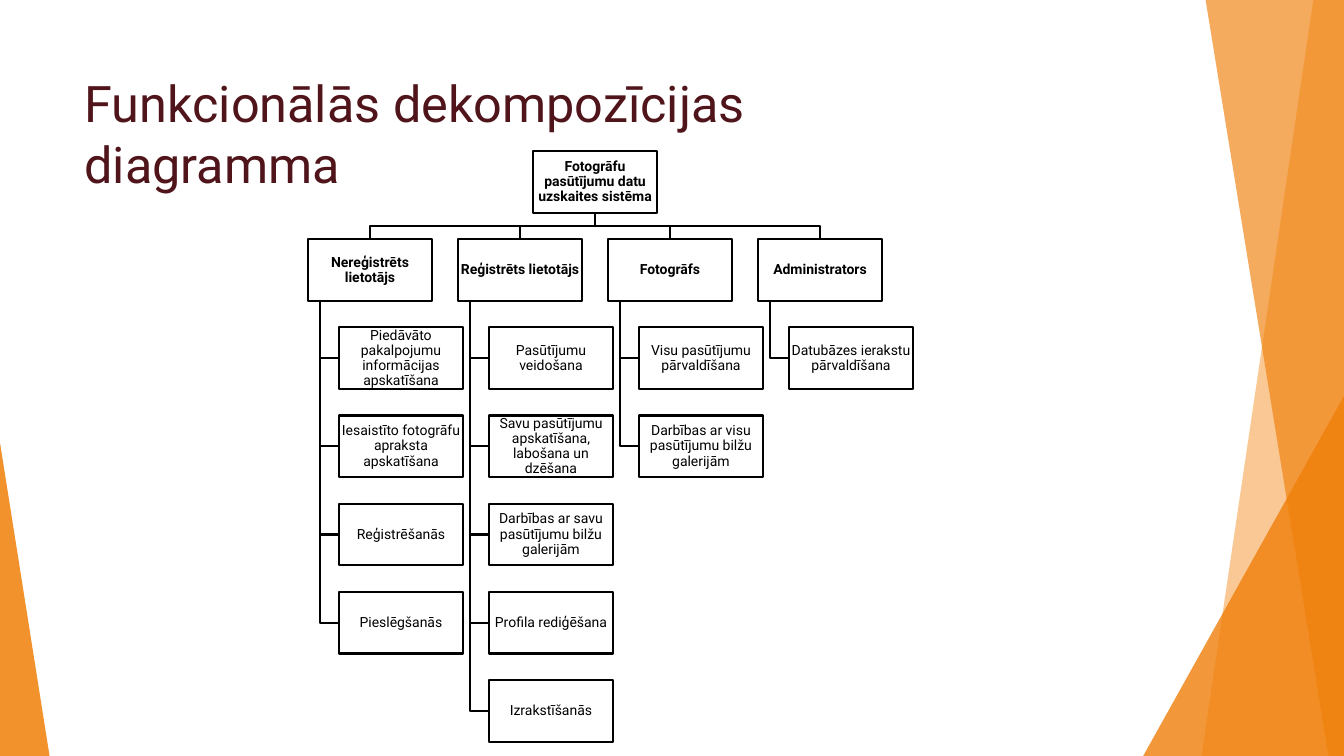
import lxml.etree
import pptx
import pptx.dml.color
import pptx.enum.shapes
import pptx.enum.text
import pptx.oxml.ns
import pptx.util

Cm = pptx.util.Cm
Pt = pptx.util.Pt
RGB = pptx.dml.color.RGBColor.from_string

TITLE = "Funkcionālās dekompozīcijas diagramma"
SYSTEM = "Fotogrāfu pasūtījumu datu uzskaites sistēma"
ROLES = [
    ("Nereģistrēts lietotājs", [
        "Piedāvāto pakalpojumu informācijas apskatīšana",
        "Iesaistīto fotogrāfu apraksta apskatīšana",
        "Reģistrēšanās",
        "Pieslēgšanās",
    ]),
    ("Reģistrēts lietotājs", [
        "Pasūtījumu veidošana",
        "Savu pasūtījumu apskatīšana, labošana un dzēšana",
        "Darbības ar savu pasūtījumu bilžu galerijām",
        "Profila rediģēšana",
        "Izrakstīšanās",
    ]),
    ("Fotogrāfs", [
        "Visu pasūtījumu pārvaldīšana",
        "Darbības ar visu pasūtījumu bilžu galerijām",
    ]),
    ("Administrators", ["Datubāzes ierakstu pārvaldīšana"]),
]

THEME = {
    "font": "Roboto",
    "title": "50141B",
    "text": "000000",
    "box": "FFFFFF",
    "line": "000000",
    "orange": "F07F09",
    "peach": "F9B268",
    "title_size": 36,
    "box_size": 10,
    "line_width": 1.5,
}

PAGE_WIDTH, PAGE_HEIGHT = 33.87, 19.05
BOX_WIDTH, BOX_HEIGHT = 3.13, 1.56
LEFT, TOP = 7.76, 3.81
COLUMN_STEP, ROW_STEP = 3.78, 2.22
TRUNK_OFFSET, TASK_INDENT = 0.31, 0.78

BANDS = [
    ([(33.1, -0.02), (PAGE_WIDTH, -0.02), (PAGE_WIDTH, PAGE_HEIGHT), (30.28, PAGE_HEIGHT)], "peach", 70),
    ([(30.38, -0.02), (PAGE_WIDTH, -0.02), (PAGE_WIDTH, PAGE_HEIGHT), (33.48, PAGE_HEIGHT)], "orange", 65),
]
CORNERS = [
    ((28.81, 9.98, 5.06, 9.07), 1, 80),
    ((0, 11.15, 1.25, 7.9), 0, 85),
]


def draw_outline(page, points, close):
    corners = [(Cm(x), Cm(y)) for x, y in points]
    builder = page.shapes.build_freeform(*corners[0])
    builder.add_line_segments(corners[1:], close=close)
    outline = builder.convert_to_shape()
    outline.shadow.inherit = False
    return outline


def fill_translucent(shape, color, opacity):
    shape.shadow.inherit = False
    shape.line.fill.background()
    shape.fill.solid()
    shape.fill.fore_color.rgb = RGB(THEME[color])
    color_node = shape.fill._xPr.find(".//" + pptx.oxml.ns.qn("a:srgbClr"))
    alpha = lxml.etree.SubElement(color_node, pptx.oxml.ns.qn("a:alpha"))
    alpha.set("val", str(opacity * 1000))


def draw_line(shape):
    shape.line.color.rgb = RGB(THEME["line"])
    shape.line.width = Pt(THEME["line_width"])


def write_text(frame, text, size, color, bold=False):
    frame.text = text
    frame.word_wrap = True
    font = frame.paragraphs[0].runs[0].font
    font.name = THEME["font"]
    font.size = Pt(THEME[size])
    font.bold = bold
    font.color.rgb = RGB(THEME[color])


def draw_link(page, points):
    link = draw_outline(page, points, close=False)
    link.fill.background()
    draw_line(link)


def draw_box(page, left, top, text, bold=False):
    box = page.shapes.add_shape(
        pptx.enum.shapes.MSO_SHAPE.RECTANGLE,
        Cm(left), Cm(top), Cm(BOX_WIDTH), Cm(BOX_HEIGHT),
    )
    box.shadow.inherit = False
    box.fill.solid()
    box.fill.fore_color.rgb = RGB(THEME["box"])
    draw_line(box)
    frame = box.text_frame
    frame.margin_left = frame.margin_right = Cm(0.02)
    frame.margin_top = frame.margin_bottom = Cm(0.02)
    frame.vertical_anchor = pptx.enum.text.MSO_ANCHOR.MIDDLE
    write_text(frame, text, "box_size", "text", bold)
    para = frame.paragraphs[0]
    para.alignment = pptx.enum.text.PP_ALIGN.CENTER
    para.line_spacing = 0.9


def draw_decoration(page):
    for points, color, opacity in BANDS:
        fill_translucent(draw_outline(page, points, close=True), color, opacity)
    for place, apex, opacity in CORNERS:
        corner = page.shapes.add_shape(
            pptx.enum.shapes.MSO_SHAPE.ISOSCELES_TRIANGLE, *map(Cm, place)
        )
        corner.adjustments[0] = apex
        fill_translucent(corner, "orange", opacity)


def draw_title(page):
    title = page.shapes.add_textbox(Cm(1.88), Cm(1.7), Cm(23.88), Cm(3.66))
    title.text_frame.margin_right = Cm(0.8)
    write_text(title.text_frame, TITLE, "title_size", "title")


def draw_tree(page):
    root_left = LEFT + COLUMN_STEP * (len(ROLES) - 1) / 2
    root_center = root_left + BOX_WIDTH / 2
    root_bottom = TOP + BOX_HEIGHT
    role_top = TOP + ROW_STEP
    bus = (root_bottom + role_top) / 2
    draw_box(page, root_left, TOP, SYSTEM, bold=True)
    for column, (role, tasks) in enumerate(ROLES):
        left = LEFT + column * COLUMN_STEP
        center = left + BOX_WIDTH / 2
        trunk = left + TRUNK_OFFSET
        task_left = left + TASK_INDENT
        draw_link(page, [(root_center, root_bottom), (root_center, bus), (center, bus), (center, role_top)])
        draw_box(page, left, role_top, role, bold=True)
        for row, task in enumerate(tasks, start=1):
            top = role_top + row * ROW_STEP
            middle = top + BOX_HEIGHT / 2
            draw_link(page, [(trunk, role_top + BOX_HEIGHT), (trunk, middle), (task_left, middle)])
            draw_box(page, task_left, top, task)


def main():
    deck = pptx.Presentation()
    deck.slide_width = Cm(PAGE_WIDTH)
    deck.slide_height = Cm(PAGE_HEIGHT)
    page = deck.slides.add_slide(deck.slide_layouts[6])
    draw_decoration(page)
    draw_title(page)
    draw_tree(page)
    deck.save("out.pptx")


if __name__ == "__main__":
    main()
